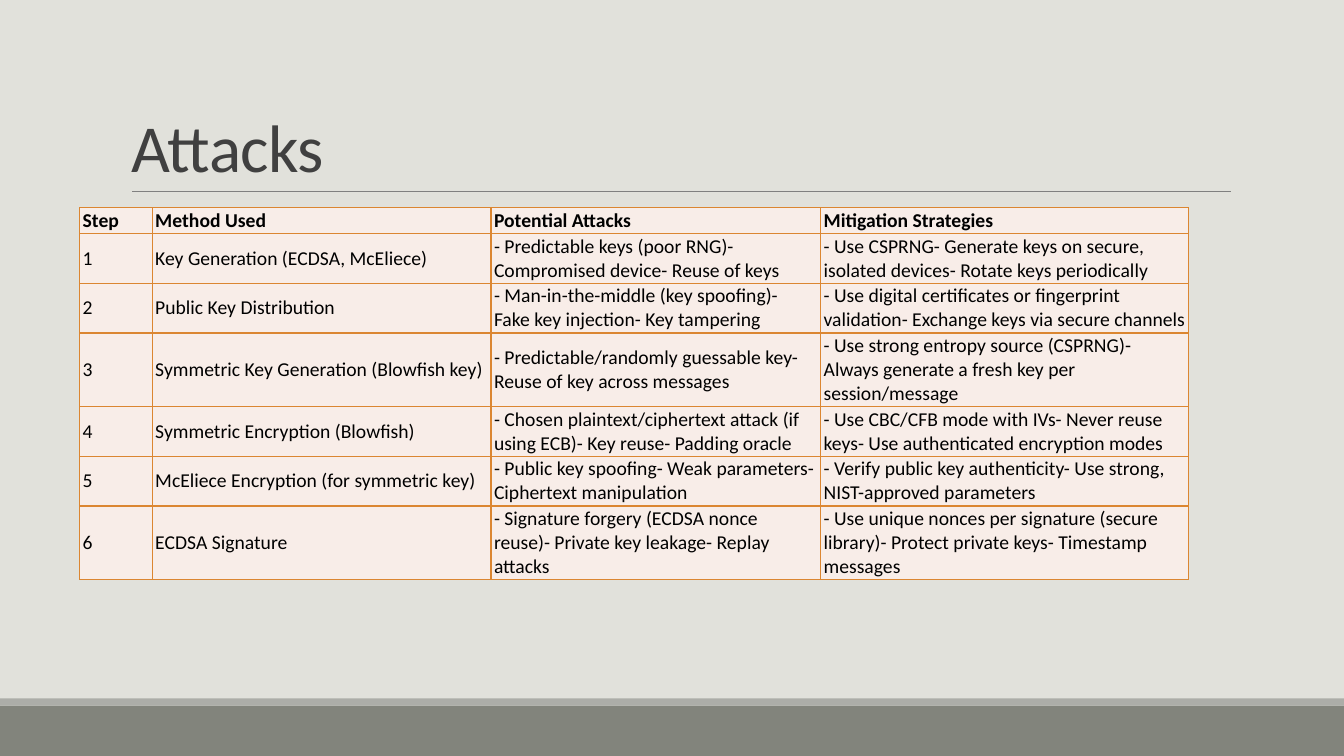
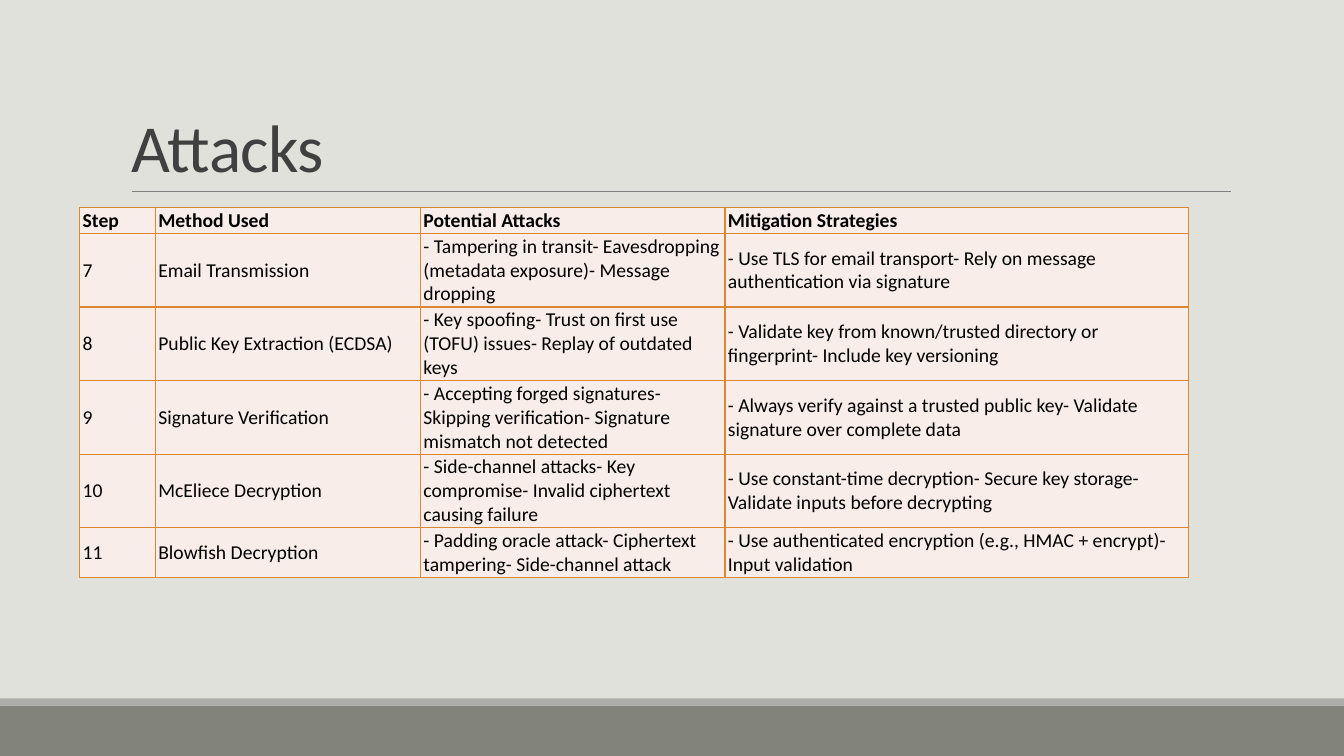
import pptx
import pptx.dml.color
import pptx.enum.shapes
import pptx.enum.text
import pptx.oxml.ns
import pptx.util
from lxml import etree
from pptx.util import Inches

COLORS = {
    "background": "E1E1DB",
    "footer": "82847C",
    "footer_edge": "ACADA8",
    "rule": "808080",
    "title": "404040",
    "text": "000000",
    "cell": "F8EDE8",
    "border": "DB8631",
}
FONT = "Calibri"
TITLE_ONLY = 5

BANDS = [("footer", 7, 0.5), ("footer_edge", 6.93, 0.07)]
HEADERS = ("Step", "Method Used", "Potential Attacks", "Mitigation Strategies")

SLIDES = [
    {
        "title": "Attacks",
        "widths": (0.72, 3.36, 3.27, 3.65),
        "rows": [
            ("1", "Key Generation (ECDSA, McEliece)",
             "- Predictable keys (poor RNG)- Compromised device- Reuse of keys",
             "- Use CSPRNG- Generate keys on secure, isolated devices- Rotate keys periodically"),
            ("2", "Public Key Distribution",
             "- Man-in-the-middle (key spoofing)- Fake key injection- Key tampering",
             "- Use digital certificates or fingerprint validation- Exchange keys via secure channels"),
            ("3", "Symmetric Key Generation (Blowfish key)",
             "- Predictable/randomly guessable key- Reuse of key across messages",
             "- Use strong entropy source (CSPRNG)- Always generate a fresh key per session/message"),
            ("4", "Symmetric Encryption (Blowfish)",
             "- Chosen plaintext/ciphertext attack (if using ECB)- Key reuse- Padding oracle",
             "- Use CBC/CFB mode with IVs- Never reuse keys- Use authenticated encryption modes"),
            ("5", "McEliece Encryption (for symmetric key)",
             "- Public key spoofing- Weak parameters- Ciphertext manipulation",
             "- Verify public key authenticity- Use strong, NIST-approved parameters"),
            ("6", "ECDSA Signature",
             "- Signature forgery (ECDSA nonce reuse)- Private key leakage- Replay attacks",
             "- Use unique nonces per signature (secure library)- Protect private keys- Timestamp messages"),
        ],
    },
    {
        "title": "Attacks",
        "widths": (0.75, 2.63, 3.02, 4.6),
        "rows": [
            ("7", "Email Transmission",
             "- Tampering in transit- Eavesdropping (metadata exposure)- Message dropping",
             "- Use TLS for email transport- Rely on message authentication via signature"),
            ("8", "Public Key Extraction (ECDSA)",
             "- Key spoofing- Trust on first use (TOFU) issues- Replay of outdated keys",
             "- Validate key from known/trusted directory or fingerprint- Include key versioning"),
            ("9", "Signature Verification",
             "- Accepting forged signatures- Skipping verification- Signature mismatch not detected",
             "- Always verify against a trusted public key- Validate signature over complete data"),
            ("10", "McEliece Decryption",
             "- Side-channel attacks- Key compromise- Invalid ciphertext causing failure",
             "- Use constant-time decryption- Secure key storage- Validate inputs before decrypting"),
            ("11", "Blowfish Decryption",
             "- Padding oracle attack- Ciphertext tampering- Side-channel attack",
             "- Use authenticated encryption (e.g., HMAC + encrypt)- Input validation"),
        ],
    },
]


def rgb(name):
    return pptx.dml.color.RGBColor.from_string(COLORS[name])


def add_run(paragraph, text, size, color, bold=False):
    run = paragraph.add_run()
    run.text = text
    run.font.name = FONT
    run.font.size = pptx.util.Pt(size)
    run.font.bold = bold
    run.font.color.rgb = rgb(color)
    return run


def move_to_layout(shape, layout, shape_id):
    """Hand a shape drawn on a slide over to the layout that all slides share."""
    shape.element.xpath(".//p:cNvPr")[0].set("id", str(shape_id))
    layout.shapes.element.append(shape.element)


def add_shared_parts(slide, layout):
    """Put the footer bands and the title rule on the layout."""
    parts = []
    for color, top, height in BANDS:
        band = slide.shapes.add_shape(
            pptx.enum.shapes.MSO_SHAPE.RECTANGLE,
            Inches(0), Inches(top), Inches(13.33), Inches(height))
        band.shadow.inherit = False
        band.fill.solid()
        band.fill.fore_color.rgb = rgb(color)
        band.line.fill.background()
        parts.append(band)

    rule = slide.shapes.add_connector(
        pptx.enum.shapes.MSO_CONNECTOR.STRAIGHT,
        Inches(1.31), Inches(1.9), Inches(12.21), Inches(1.9))
    rule.line.color.rgb = rgb("rule")
    rule.line.width = pptx.util.Pt(0.5)
    etree.SubElement(rule.element.spPr, pptx.oxml.ns.qn("a:effectLst"))
    parts.append(rule)

    for shape_id, shape in enumerate(parts, start=101):
        move_to_layout(shape, layout, shape_id)


def set_title(slide, text):
    title = slide.shapes.title
    title.left, title.top = Inches(1.2), Inches(0.31)
    title.width, title.height = Inches(11), Inches(1.59)
    frame = title.text_frame
    frame.word_wrap = True
    frame.auto_size = pptx.enum.text.MSO_AUTO_SIZE.NONE
    frame.vertical_anchor = pptx.enum.text.MSO_ANCHOR.BOTTOM
    paragraph = frame.paragraphs[0]
    paragraph.alignment = pptx.enum.text.PP_ALIGN.LEFT
    paragraph.line_spacing = 0.85
    run = add_run(paragraph, text, 48, "title")
    run.font._element.set("spc", "-50") if hasattr(run.font, "_element") else run._r.get_or_add_rPr().set("spc", "-50")


def add_borders(cell):
    properties = cell._tc.get_or_add_tcPr()
    for side in ("lnL", "lnR", "lnT", "lnB"):
        line = etree.SubElement(
            properties, pptx.oxml.ns.qn("a:" + side), w=str(pptx.util.Pt(1)))
        fill = etree.SubElement(line, pptx.oxml.ns.qn("a:solidFill"))
        etree.SubElement(fill, pptx.oxml.ns.qn("a:srgbClr"), val=COLORS["border"])


def fill_cell(cell, text, bold):
    cell.margin_left = cell.margin_right = Inches(0.03)
    cell.margin_top = cell.margin_bottom = Inches(0.01)
    cell.vertical_anchor = pptx.enum.text.MSO_ANCHOR.MIDDLE
    add_borders(cell)
    cell.fill.solid()
    cell.fill.fore_color.rgb = rgb("cell")
    add_run(cell.text_frame.paragraphs[0], text, 14, "text", bold)


def add_attack_table(slide, widths, body_rows):
    rows = [HEADERS, *body_rows]
    heights = [0.18] + [0.49] * len(body_rows)
    table = slide.shapes.add_table(
        len(rows), len(widths), Inches(0.79), Inches(2.06),
        Inches(sum(widths)), Inches(sum(heights))).table
    table.first_row = table.horz_banding = False
    for column, width in zip(table.columns, widths):
        column.width = Inches(width)
    for row_index, (texts, height) in enumerate(zip(rows, heights)):
        table.rows[row_index].height = Inches(height)
        for column_index, text in enumerate(texts):
            fill_cell(table.cell(row_index, column_index), text, bold=row_index == 0)


def main():
    presentation = pptx.Presentation()
    presentation.slide_width = Inches(13.33)
    presentation.slide_height = Inches(7.5)
    background = presentation.slide_master.background.fill
    background.solid()
    background.fore_color.rgb = rgb("background")
    layout = presentation.slide_layouts[TITLE_ONLY]

    for index, content in enumerate(SLIDES):
        slide = presentation.slides.add_slide(layout)
        if index == 0:
            add_shared_parts(slide, layout)
        set_title(slide, content["title"])
        add_attack_table(slide, content["widths"], content["rows"])
    presentation.save("out.pptx")


if __name__ == "__main__":
    main()
